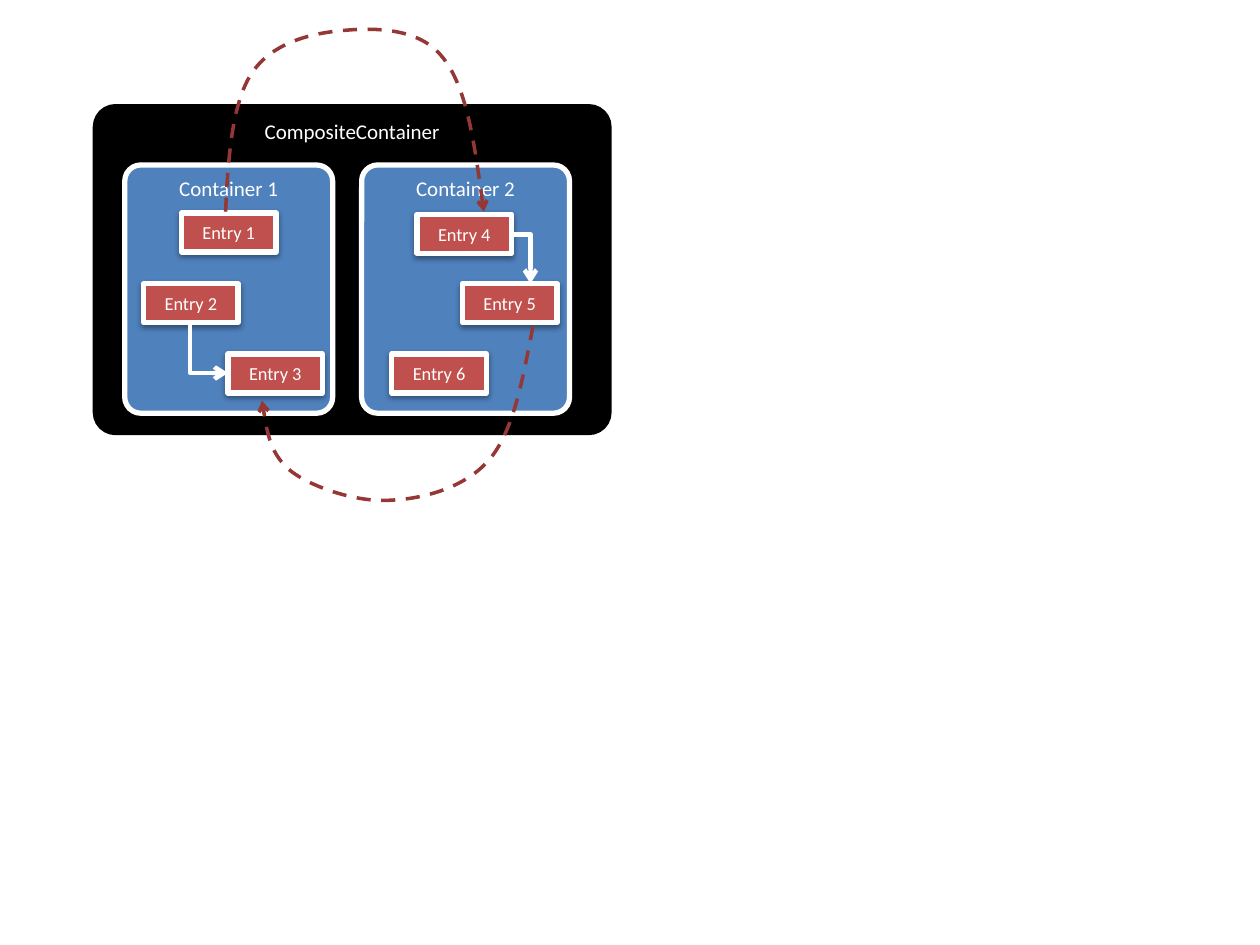
from lxml.etree import SubElement
from pptx import Presentation
from pptx.dml.color import RGBColor
from pptx.enum.dml import MSO_LINE
from pptx.enum.shapes import MSO_CONNECTOR as Link, MSO_SHAPE as Shape
from pptx.enum.text import MSO_ANCHOR as Anchor, PP_ALIGN as Align
from pptx.oxml.ns import qn
from pptx.util import Inches, Pt

BLACK, WHITE, BLUE, RED, DARK_RED = "000000", "FFFFFF", "4F81BD", "C0504D", "953735"


def color(value):
    return RGBColor.from_string(value)


class Diagram:
    font = "Calibri"

    def __init__(self, page):
        self.page = page

    def stroke(self, line, value, width):
        line.color.rgb = color(value)
        line.width = Pt(width)

    def arrowhead(self, line):
        SubElement(line._get_or_add_ln(), qn("a:tailEnd"), type="arrow")

    def soft_shadow(self, box):
        effects = box._element.spPr.find(qn("a:effectLst"))
        shadow = SubElement(effects, qn("a:outerShdw"), blurRad="40000",
                            dist="20000", dir="5400000", rotWithShape="0")
        black = SubElement(shadow, qn("a:srgbClr"), val=BLACK)
        SubElement(black, qn("a:alpha"), val="38000")

    def box(self, kind, text, place, fill, line, width, size, anchor, shadow=True):
        box = self.page.shapes.add_shape(kind, *map(Inches, place))
        box.shadow.inherit = False
        box.fill.solid()
        box.fill.fore_color.rgb = color(fill)
        self.stroke(box.line, line, width)
        if shadow:
            self.soft_shadow(box)
        frame = box.text_frame
        frame.text = text
        frame.vertical_anchor = anchor
        para = frame.paragraphs[0]
        para.alignment = Align.CENTER
        font = para.runs[0].font
        font.name, font.size, font.color.rgb = self.font, Pt(size), color(WHITE)
        return box

    def container(self, text, place, radius, fill=BLUE, line=WHITE, width=3, shadow=True):
        box = self.box(Shape.ROUNDED_RECTANGLE, text, place, fill, line, width,
                       12, Anchor.TOP, shadow)
        box.adjustments[0] = radius

    def entry(self, text, left, top):
        self.box(Shape.RECTANGLE, text, (left, top, 0.75, 0.31), RED, WHITE, 3,
                 10.5, Anchor.MIDDLE)

    def elbow(self, start, end, down_first=False):
        """One-corner arrow; going down first is the same bend turned and flipped."""
        (x1, y1), (x2, y2) = start, end
        if down_first:
            mid_x, mid_y = (x1 + x2) / 2, (y1 + y2) / 2
            half_w, half_h = (y2 - y1) / 2, (x2 - x1) / 2
            x1, y1 = mid_x + half_w, mid_y - half_h
            x2, y2 = mid_x - half_w, mid_y + half_h
        link = self.page.shapes.add_connector(Link.ELBOW, *map(Inches, (x1, y1, x2, y2)))
        props = link._element.spPr
        props.find(qn("a:prstGeom")).set("prst", "bentConnector2")
        if down_first:
            props.find(qn("a:xfrm")).set("rot", "16200000")
        self.stroke(link.line, WHITE, 2.5)
        self.arrowhead(link.line)
        SubElement(props, qn("a:effectLst"))

    def curve(self, start, points):
        """Dashed arrow; each three points are two handles and an end."""
        builder = self.page.shapes.build_freeform(*map(Inches, start))
        builder.add_line_segments([(Inches(x), Inches(y)) for x, y in points], close=False)
        shape = builder.convert_to_shape()
        outline = shape._element.spPr.find(".//" + qn("a:path"))
        steps = outline.findall(qn("a:lnTo"))
        for first in range(0, len(steps), 3):
            bezier = SubElement(outline, qn("a:cubicBezTo"))
            for step in steps[first:first + 3]:
                bezier.append(step[0])
                outline.remove(step)
        shape.shadow.inherit = False
        shape.fill.background()
        self.stroke(shape.line, DARK_RED, 2)
        shape.line.dash_style = MSO_LINE.DASH
        self.arrowhead(shape.line)


def main():
    deck = Presentation()
    deck.slide_width, deck.slide_height = Inches(10), Inches(7.5)
    diagram = Diagram(deck.slides.add_slide(deck.slide_layouts[6]))

    # Containers
    diagram.container("CompositeContainer", (0.75, 0.84, 4.09, 2.6), 0.064,
                      BLACK, BLACK, 2, shadow=False)
    for number, left in enumerate((0.99, 2.87), 1):
        diagram.container(f"Container {number}", (left, 1.31, 1.65, 1.97), 0.077)

    # Entries
    places = [(1.44, 1.69), (1.14, 2.25), (1.81, 2.81),
              (3.31, 1.7), (3.67, 2.25), (3.11, 2.81)]
    for number, (left, top) in enumerate(places, 1):
        diagram.entry(f"Entry {number}", left, top)

    # Links inside a container
    diagram.elbow((1.51, 2.57), (1.81, 2.96), down_first=True)
    diagram.elbow((4.06, 1.86), (4.21, 2.25))

    # Links across containers
    diagram.curve((1.79, 1.68), [
        (1.81, 1.26), (1.84, 0.85), (1.98, 0.61),
        (2.12, 0.37), (2.4, 0.28), (2.65, 0.25),
        (2.9, 0.22), (3.3, 0.2), (3.5, 0.44),
        (3.7, 0.67), (3.77, 1.17), (3.84, 1.68)])
    diagram.curve((4.23, 2.59), [
        (4.15, 3), (4.08, 3.41), (3.89, 3.64),
        (3.7, 3.87), (3.36, 3.96), (3.1, 3.97),
        (2.84, 3.99), (2.48, 3.87), (2.31, 3.74),
        (2.15, 3.61), (2.11, 3.39), (2.08, 3.18)])

    deck.save("out.pptx")


if __name__ == "__main__":
    main()
